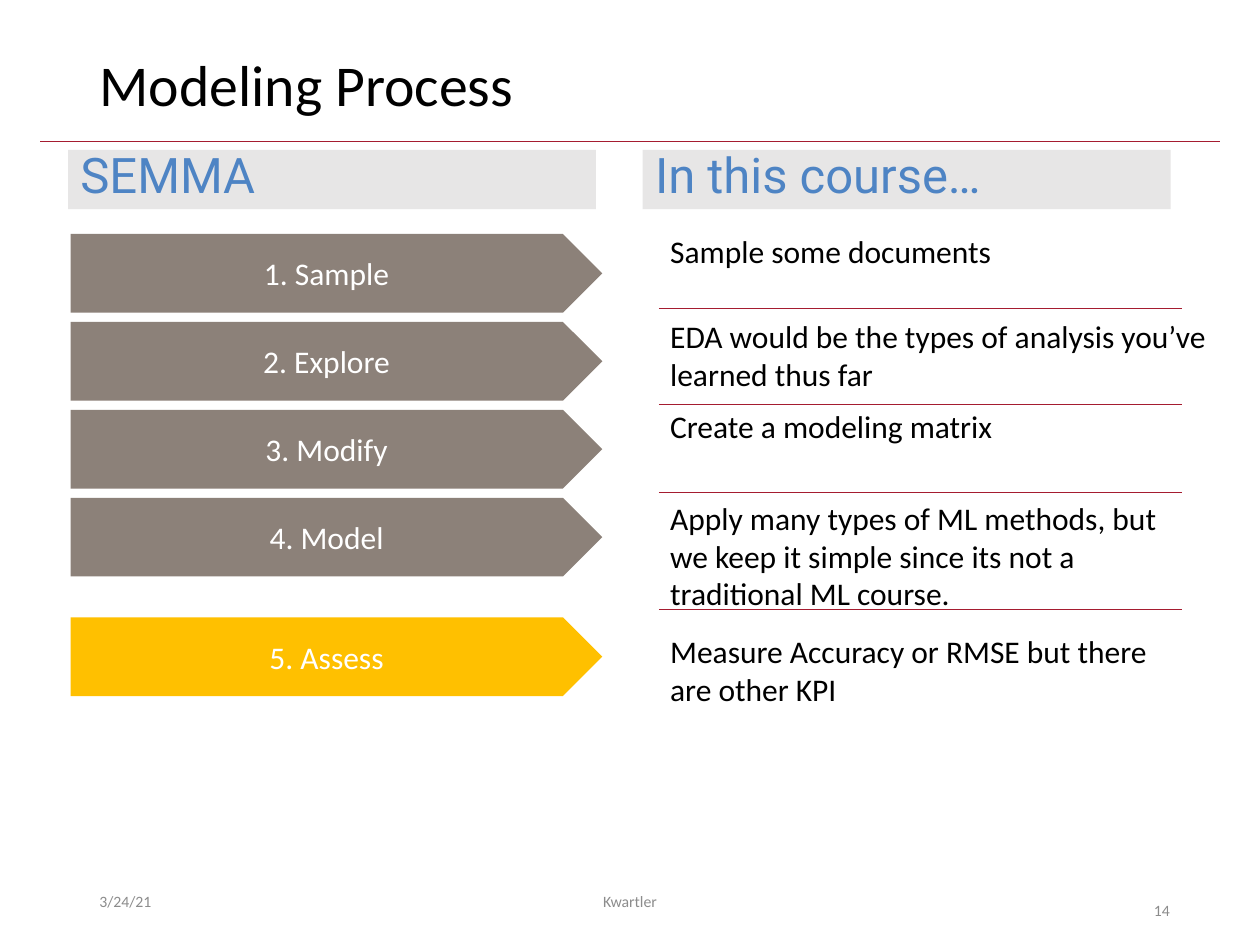
"""Build the Modeling Process slide, comparing SEMMA steps with the course."""
from dataclasses import dataclass

from lxml import etree
from pptx import Presentation
from pptx.dml.color import RGBColor
from pptx.enum.shapes import MSO_CONNECTOR, MSO_SHAPE
from pptx.enum.text import MSO_ANCHOR, MSO_AUTO_SIZE, PP_ALIGN
from pptx.oxml.ns import qn
from pptx.slide import Slide
from pptx.text.text import TextFrame
from pptx.util import Inches, Pt

PENTAGON, RECTANGLE = MSO_SHAPE.PENTAGON, MSO_SHAPE.RECTANGLE
STRAIGHT = MSO_CONNECTOR.STRAIGHT
TOP, MIDDLE = MSO_ANCHOR.TOP, MSO_ANCHOR.MIDDLE
LEFT, CENTER = PP_ALIGN.LEFT, PP_ALIGN.CENTER
FIXED, GROW = MSO_AUTO_SIZE.NONE, MSO_AUTO_SIZE.SHAPE_TO_FIT_TEXT

WIDTH, HEIGHT = Inches(10), Inches(7.5)
COLUMNS, ROWS = 100, 75


@dataclass(frozen=True)
class Theme:
    """Colours, fonts and type sizes of the slide."""
    ink: str = "000000"
    muted: str = "8C8C8C"
    rule: str = "A51C30"
    step: str = "8C8179"
    current: str = "FFC000"
    on_step: str = "FFFFFF"
    band: str = "E7E6E6"
    heading: str = "4E84C4"
    body_font: str = "Calibri"
    heading_font: str = "Roboto"
    title_size: float = 33
    heading_size: float = 28
    body_size: float = 18
    footer_size: float = 9
    rule_width: float = 0.5


@dataclass(frozen=True)
class Area:
    """A rectangle in grid columns and rows."""
    column: float
    row: float
    columns: float
    rows: float

    def lengths(self) -> tuple[int, int, int, int]:
        """Return left, top, width and height."""
        return (across(self.column), down(self.row),
                across(self.columns), down(self.rows))


@dataclass(frozen=True)
class Style:
    """How a piece of text is set."""
    size: float
    color: str
    font: str = "Calibri"
    align: PP_ALIGN = LEFT
    anchor: MSO_ANCHOR = TOP
    spacing: float = 1.0
    fit: MSO_AUTO_SIZE = FIXED


@dataclass(frozen=True)
class Step:
    """One SEMMA step with its note in the course."""
    label: str
    row: float
    fill: str
    note: str
    note_area: Area


THEME = Theme()
TITLE = Style(THEME.title_size, THEME.ink, spacing=0.9)
HEADING = Style(THEME.heading_size, THEME.heading, THEME.heading_font, spacing=0.8)
STEP = Style(THEME.body_size, THEME.on_step, align=CENTER, anchor=MIDDLE)
NOTE = Style(THEME.body_size, THEME.ink, fit=GROW)
DATE = Style(THEME.footer_size, THEME.muted, anchor=MIDDLE)
AUTHOR = Style(THEME.footer_size, THEME.muted, align=CENTER, anchor=MIDDLE)
NUMBER = Style(THEME.footer_size, THEME.muted, spacing=2.0)

FIRST_ROW, PITCH, ASSESS_ROW = 18.57, 6.98, 49
STEP_COLUMN, STEP_COLUMNS, STEP_ROWS = 5.6, 42.2, 6.24
NOTE_COLUMN, NOTE_COLUMNS = 52.2, 41.8
STEPS = [
    Step("1. Sample", FIRST_ROW, THEME.step, "Sample some documents",
         Area(NOTE_COLUMN, 17.9, NOTE_COLUMNS, 4)),
    Step("2. Explore", FIRST_ROW + PITCH, THEME.step,
         "EDA would be the types of analysis you’ve learned thus far",
         Area(NOTE_COLUMN, 24.7, 47.8, 7.1)),
    Step("3. Modify", FIRST_ROW + 2 * PITCH, THEME.step, "Create a modeling matrix",
         Area(NOTE_COLUMN, 31.8, 45.5, 4)),
    Step("4. Model", FIRST_ROW + 3 * PITCH, THEME.step,
         "Apply many types of ML methods, but we keep it simple "
         "since its not a traditional ML course.",
         Area(NOTE_COLUMN, 39.1, NOTE_COLUMNS, 10.1)),
    Step("5. Assess", ASSESS_ROW, THEME.current,
         "Measure Accuracy or RMSE but there are other KPI",
         Area(NOTE_COLUMN, 49.7, NOTE_COLUMNS, 7.1)),
]
HEADINGS = {"SEMMA": 5.4, "In this course…": 51}
NOTE_RULE_ROWS = [24.5, 32.1, 39.1, 48.4]
FOOTERS = [
    ("3/24/21", Area(6.9, 69.5, 22.5, 4), DATE),
    ("Kwartler", Area(33.1, 69.5, 33.8, 4), AUTHOR),
    ("14", Area(90.6, 69.5, 9.4, 4), NUMBER),
]


def across(columns: float) -> int:
    """Turn grid columns into a length."""
    return round(WIDTH * columns / COLUMNS)


def down(rows: float) -> int:
    """Turn grid rows into a length."""
    return round(HEIGHT * rows / ROWS)


def write(frame: TextFrame, text: str, style: Style) -> None:
    """Put styled text into a frame."""
    frame.text = text
    paragraph = frame.paragraphs[0]
    font = paragraph.runs[0].font
    formats = {
        frame: {"word_wrap": True, "auto_size": style.fit,
                "vertical_anchor": style.anchor},
        paragraph: {"alignment": style.align, "line_spacing": style.spacing},
        font: {"name": style.font, "size": Pt(style.size)},
    }
    for target, values in formats.items():
        for name, value in values.items():
            setattr(target, name, value)
    font.color.rgb = RGBColor.from_string(style.color)


def add_text(slide: Slide, text: str, area: Area, style: Style) -> None:
    """Add a text box."""
    write(slide.shapes.add_textbox(*area.lengths()).text_frame, text, style)


def add_block(slide: Slide, kind: MSO_SHAPE, text: str, area: Area,
              fill: str, style: Style) -> None:
    """Add a filled shape with text."""
    block = slide.shapes.add_shape(kind, *area.lengths())
    block.shadow.inherit = False
    block.fill.solid()
    block.fill.fore_color.rgb = RGBColor.from_string(fill)
    block.line.fill.background()
    write(block.text_frame, text, style)


def add_rule(slide: Slide, start: float, end: float, row: float) -> None:
    """Add a thin horizontal line."""
    rule = slide.shapes.add_connector(
        STRAIGHT, across(start), down(row), across(end), down(row))
    rule.line.color.rgb = RGBColor.from_string(THEME.rule)
    rule.line.width = Pt(THEME.rule_width)
    etree.SubElement(rule._element.spPr, qn("a:effectLst"))


def main() -> None:
    """Build and save the slide."""
    deck = Presentation()
    deck.slide_width, deck.slide_height = WIDTH, HEIGHT
    slide = deck.slides.add_slide(deck.slide_layouts.get_by_name("Title Only"))

    title = slide.shapes.title
    title.left, title.top, title.width, title.height = Area(6.9, 4, 86.2, 6.5).lengths()
    write(title.text_frame, "Modeling Process", TITLE)
    add_rule(slide, 3.2, 96.8, 11.2)

    for heading, column in HEADINGS.items():
        add_block(slide, RECTANGLE, heading, Area(column, 11.9, 41.9, 4.7),
                  THEME.band, HEADING)
    for step in STEPS:
        add_block(slide, PENTAGON, step.label,
                  Area(STEP_COLUMN, step.row, STEP_COLUMNS, STEP_ROWS), step.fill, STEP)
        add_text(slide, step.note, step.note_area, NOTE)
    for row in NOTE_RULE_ROWS:
        add_rule(slide, 52.3, 93.8, row)
    for text, area, style in FOOTERS:
        add_text(slide, text, area, style)

    deck.save("out.pptx")


if __name__ == "__main__":
    main()
